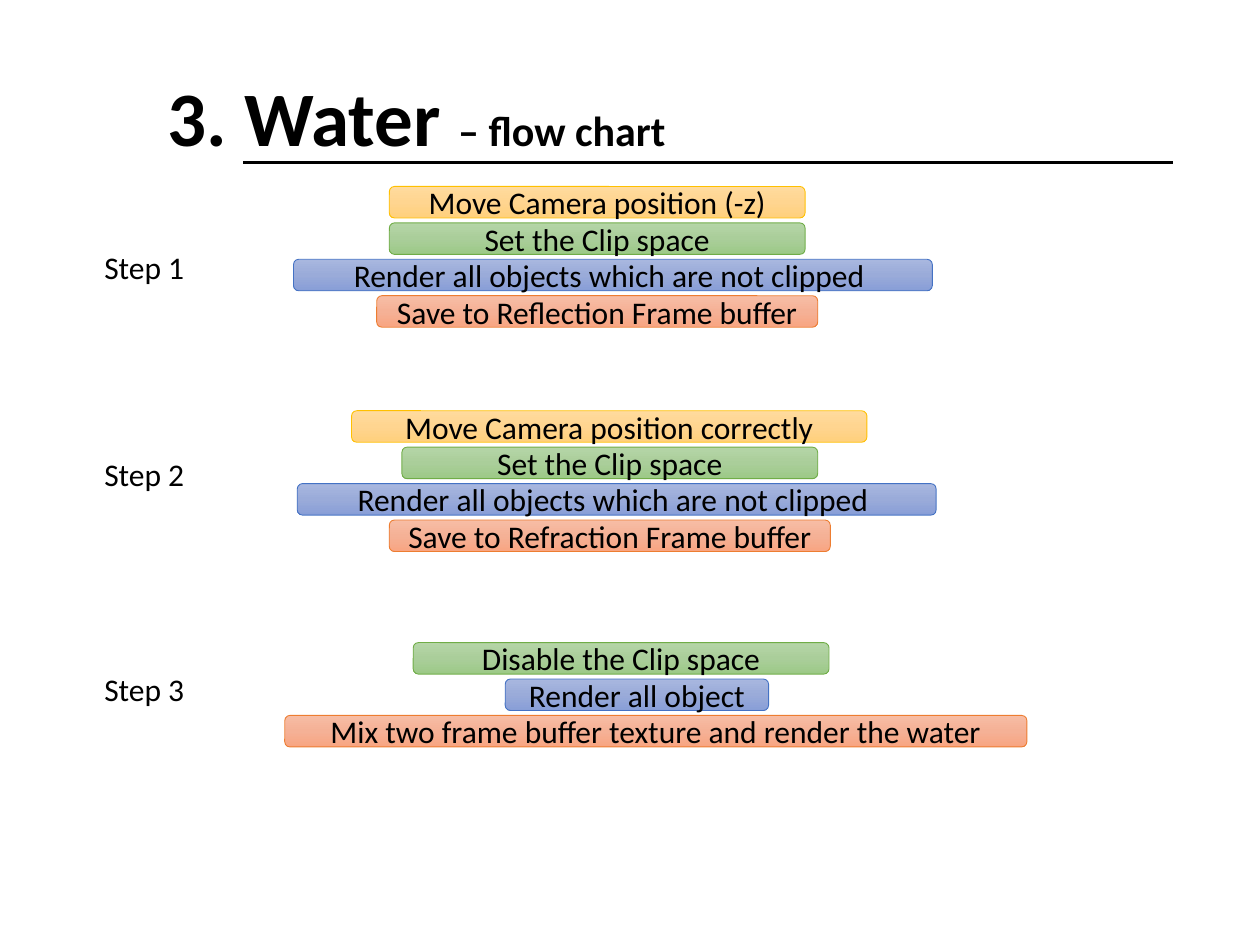
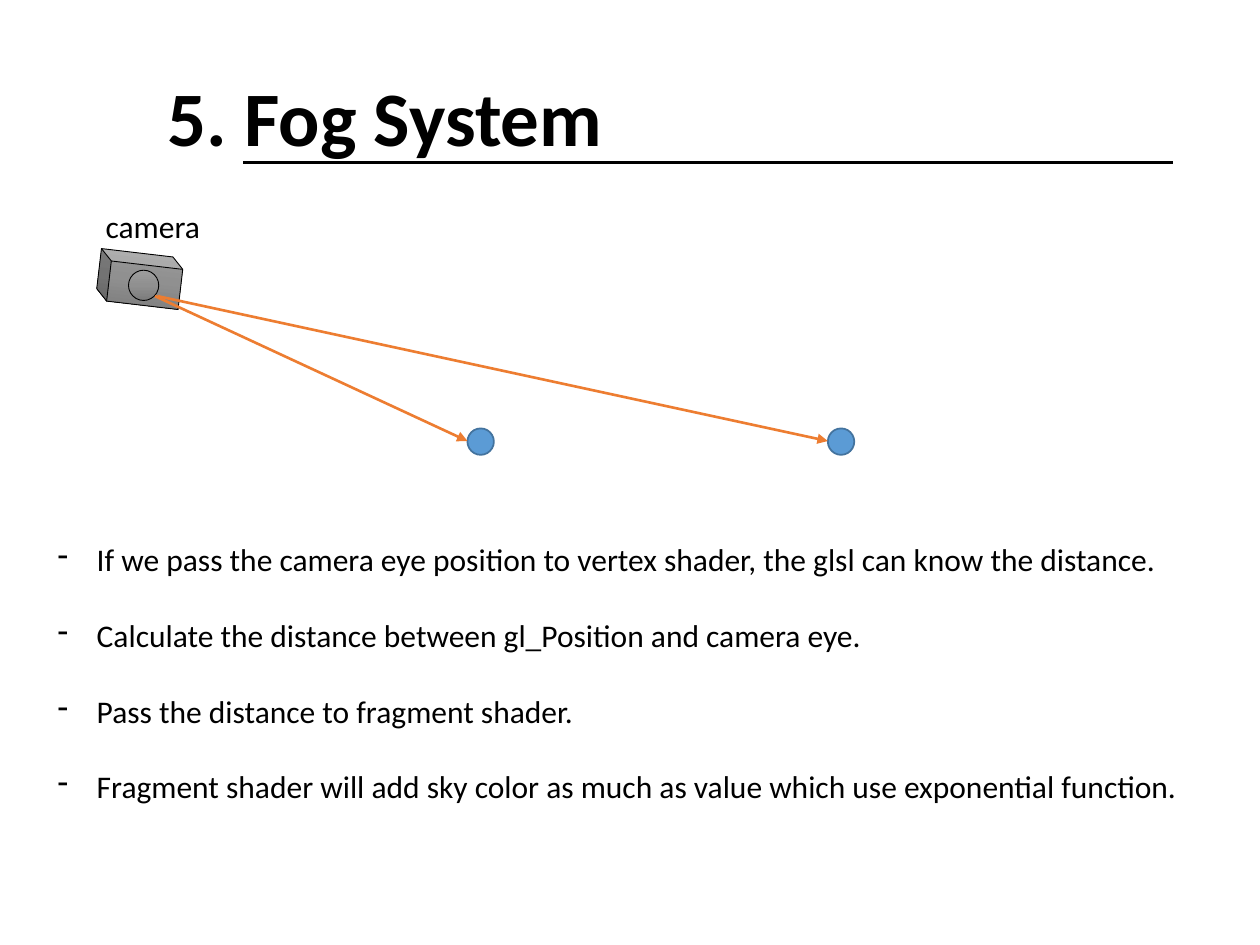
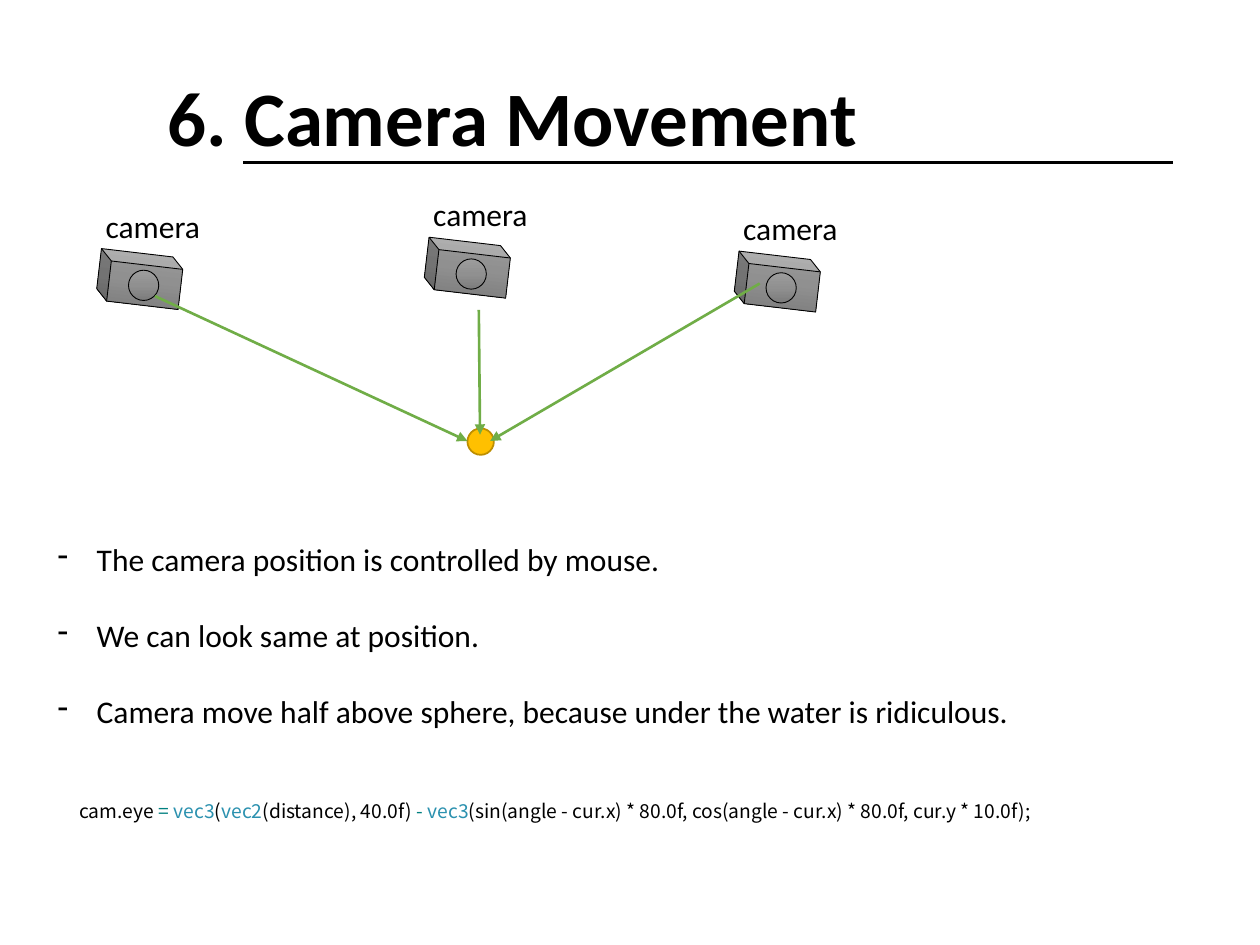
from copy import deepcopy
from pptx import Presentation
from pptx.dml.color import RGBColor
from pptx.enum.shapes import MSO_CONNECTOR as Wire, MSO_SHAPE as Form
from pptx.enum.text import MSO_ANCHOR as Anchor, MSO_AUTO_SIZE as Fit, PP_ALIGN as Align
from pptx.oxml.ns import qn
from pptx.oxml.xmlchemy import OxmlElement as Node
from pptx.util import Inches, Pt

COLS = 100
BLACK = "000000"
GOLD = ("FFC000", ("FFDB9E", "FFD590", "FFD07C"))
GREEN = ("70AD47", ("B5D5A7", "AACE9A", "9CC987"))
BLUE = ("4472C4", ("A8B7DF", "9AABD9", "889ED7"))
CORAL = ("ED7D31", ("F7BDA5", "F5B196", "F8A582"))
GRAY = (BLACK, ("9D9D9D", "909090", "7C7C7C"))
TEAL, SKY = "008080", "2B91AF"


def hue(code):
    return RGBColor.from_string(code)


def put(item, values):
    for key, value in values.items():
        setattr(item, key, value)


def node(tag, **values):
    made = Node(tag)
    for key, value in values.items():
        made.set(key, str(value))
    return made


class Deck:
    font = {"name": "Calibri", "size": Pt(18), "bold": False}
    large = {"size": Pt(44), "bold": True}
    small = {"size": Pt(24), "bold": True}
    mono = {"name": "Noto Sans CJK KR", "size": Pt(11)}
    dash = {"marL": Inches(0.31), "indent": -Inches(0.31)}

    def __init__(self):
        self.show = Presentation()
        put(self.show, {"slide_width": Inches(10), "slide_height": Inches(7.5)})
        self.cell = self.show.slide_width / COLS

    def grid(self, *cells):
        return [round(cell * self.cell) for cell in cells]

    def page(self, *title):
        self.slide = self.show.slides.add_slide(self.show.slide_layouts[6])
        self.line((19.3, 12.9), (93.1, 12.9), BLACK)
        looks = (self.large, self.small)
        runs = [(words, look, BLACK) for words, look in zip(title, looks)]
        frame = self.text((12.3, 3.9, 81.2, 11.5), runs, {"line_spacing": 0.9})
        frame.vertical_anchor = Anchor.MIDDLE

    def pen(self, para, runs, values):
        put(para, values)
        for words, look, color in runs:
            run = para.add_run()
            run.text = words
            put(run.font, {**self.font, **look})
            run.font.color.rgb = hue(color)

    def text(self, box, runs, values):
        frame = self.slide.shapes.add_textbox(*self.grid(*box)).text_frame
        frame.word_wrap = True
        self.pen(frame.paragraphs[0], runs, values)
        return frame

    def label(self, words, left, top, width):
        frame = self.text((left, top, width, 4), [(words, {}, BLACK)], {})
        put(frame, {"word_wrap": False, "auto_size": Fit.SHAPE_TO_FIT_TEXT})

    def points(self, items, height):
        frame = self.text((3.6, 42.4, 92.7, height), [], {})
        for index, words in enumerate(items):
            para = frame.add_paragraph() if index else frame.paragraphs[0]
            props = para._p.get_or_add_pPr()
            for key, value in self.dash.items():
                props.set(key, str(value))
            props.append(node("a:buChar", char="-"))
            self.pen(para, [(words, {}, BLACK)], {"space_before": Pt(21.6 if index else 0)})

    def shape(self, form, box, edge, fill, weight=0.5):
        made = self.slide.shapes.add_shape(form, *self.grid(*box))
        made.shadow.inherit = False
        made.line.color.rgb = hue(edge)
        made.line.width = Pt(weight)
        if isinstance(fill, str):
            made.fill.solid()
            made.fill.fore_color.rgb = hue(fill)
        else:
            self.blend(made, fill)
        return made

    def blend(self, made, shades):
        made.fill.gradient()
        made.fill.gradient_angle = 270
        stops = made._element.spPr.find(".//" + qn("a:gsLst"))
        stops.insert(1, deepcopy(stops[0]))
        for stop, place, shade in zip(made.fill.gradient_stops, (0, 0.5, 1), shades):
            stop.position = place
            stop.color.rgb = hue(shade)

    def bar(self, words, left, top, width, tone):
        frame = self.shape(Form.ROUNDED_RECTANGLE, (left, top, width, 2.5), *tone).text_frame
        put(frame, {"word_wrap": True, "vertical_anchor": Anchor.MIDDLE})
        self.pen(frame.paragraphs[0], [(words, {}, BLACK)], {"alignment": Align.CENTER})

    def dot(self, left, fill, edge):
        self.shape(Form.OVAL, (left, 34, 2.1, 2.1), edge, fill, 1)

    def camera(self, left, top):
        body = self.shape(Form.CUBE, (left, top, 6.6, 4.1), *GRAY)
        body.adjustments[0] = 0.217
        body.rotation = 6.7
        body._element.spPr.find(qn("a:xfrm")).set("flipH", "1")
        self.shape(Form.OVAL, (left + 2.4, top + 1.35, 2.4, 2.4), *GRAY)
        self.label("camera", left - 0.4, top - 4.2, 10.3)

    def line(self, start, end, color, arrow=False):
        made = self.slide.shapes.add_connector(Wire.STRAIGHT, *self.grid(*start, *end))
        made.line.color.rgb = hue(color)
        made.line.width = Pt(1.5)
        props = made._element.spPr
        if arrow:
            props.find(qn("a:ln")).append(node("a:tailEnd", type="triangle"))
        props.append(node("a:effectLst"))


def water(deck):
    deck.page("3. Water ", "– flow chart")
    clip = "Render all objects which are not clipped "
    steps = [
        (14.8, 19.2, [
            ("Move Camera position (-z)", 30.9, 33, GOLD),
            ("Set the Clip space", 30.9, 33, GREEN),
            (clip, 23.3, 50.7, BLUE),
            ("Save to Reflection Frame buffer", 29.9, 35, CORAL)]),
        (32.6, 35.6, [
            ("Move Camera position correctly", 27.9, 40.9, GOLD),
            ("Set the Clip space", 31.9, 33, GREEN),
            (clip, 23.6, 50.7, BLUE),
            ("Save to Refraction Frame buffer", 30.9, 35, CORAL)]),
        (51, 52.7, [
            ("Disable the Clip space", 32.8, 33, GREEN),
            ("Render all object", 40.1, 20.9, BLUE),
            ("Mix two frame buffer texture and render the water", 22.6, 58.9, CORAL)]),
    ]
    for count, (top, mid, bars) in enumerate(steps, 1):
        for row, (words, left, width, tone) in enumerate(bars):
            deck.bar(words, left, top + 2.89 * row, width, tone)
        deck.label(f"Step {count}", 7.3, mid, 8.4)


def fog(deck):
    deck.page("5. Fog System")
    deck.points([
        "If we pass the camera eye position to vertex shader, the glsl can know the distance.",
        "Calculate the distance between gl_Position and camera eye.",
        "Pass the distance to fragment shader.",
        "Fragment shader will add sky color as much as value which use exponential function.",
    ], 25.2)
    deck.camera(7.8, 20.1)
    for start, left in ((12.3, 37.1), (12.5, 65.7)):
        deck.dot(left, "5B9BD5", "43739E")
        deck.line((start, 23.5), (left, 35), CORAL[0], True)


def motion(deck):
    deck.page("6. Camera Movement")
    deck.points([
        "The camera position is controlled by mouse.",
        "We can look same at position.",
        "Camera move half above sphere, because under the water is ridiculous.",
    ], 19.2)
    deck.dot(37.1, GOLD[0], "BD8E00")
    views = [
        ((7.8, 20.1), (12.3, 23.5), (37.1, 35)),
        ((33.8, 19.2), (38, 24.6), (38.1, 34.5)),
        ((58.4, 20.3), (60.3, 22.5), (38.9, 35)),
    ]
    for spot, start, end in views:
        deck.camera(*spot)
        deck.line(start, end, GREEN[0], True)
    parts = [
        ("cam.eye ", BLACK), ("= ", TEAL), ("vec3", SKY), ("(", BLACK), ("vec2", SKY),
        ("(distance), 40.0f) ", BLACK), ("- ", TEAL), ("vec3", SKY),
        ("(sin(angle - cur.x) * 80.0f, cos(angle - cur.x) * 80.0f, cur.y * 10.0f);", BLACK),
    ]
    deck.text((5.3, 62.9, 92.3, 2.9), [(words, deck.mono, color) for words, color in parts], {})


def main():
    deck = Deck()
    for build in (water, fog, motion):
        build(deck)
    deck.show.save("out.pptx")


if __name__ == "__main__":
    main()
